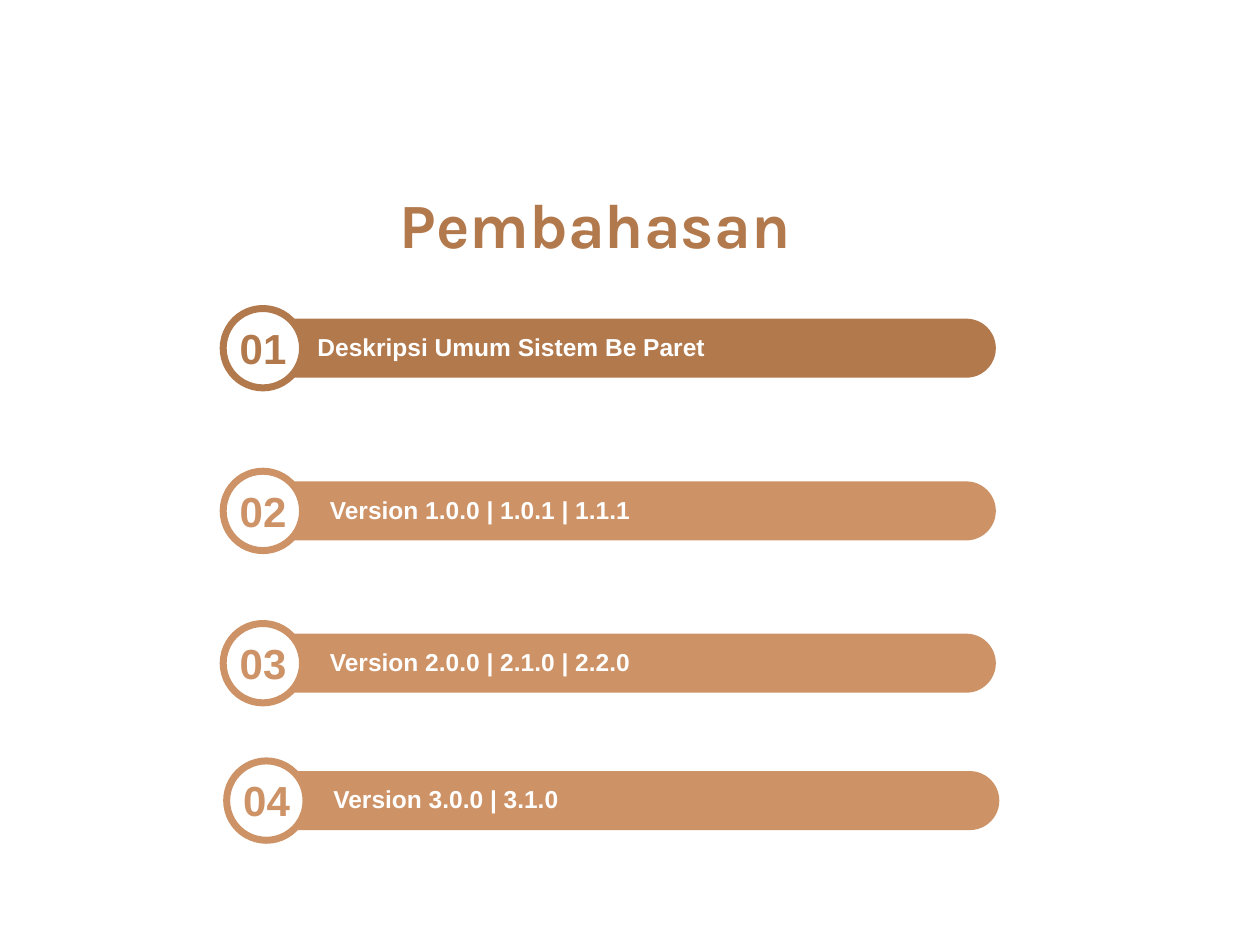
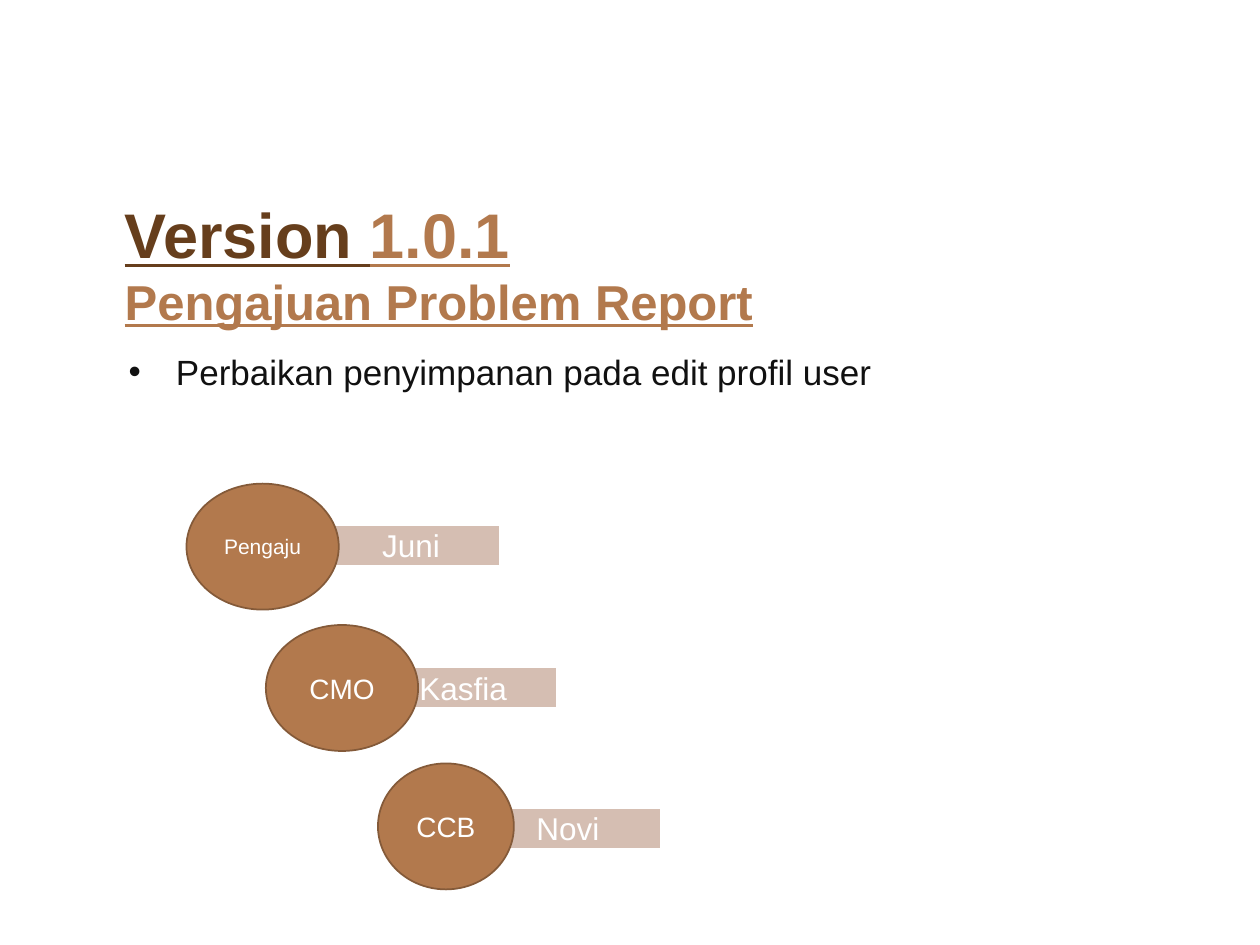
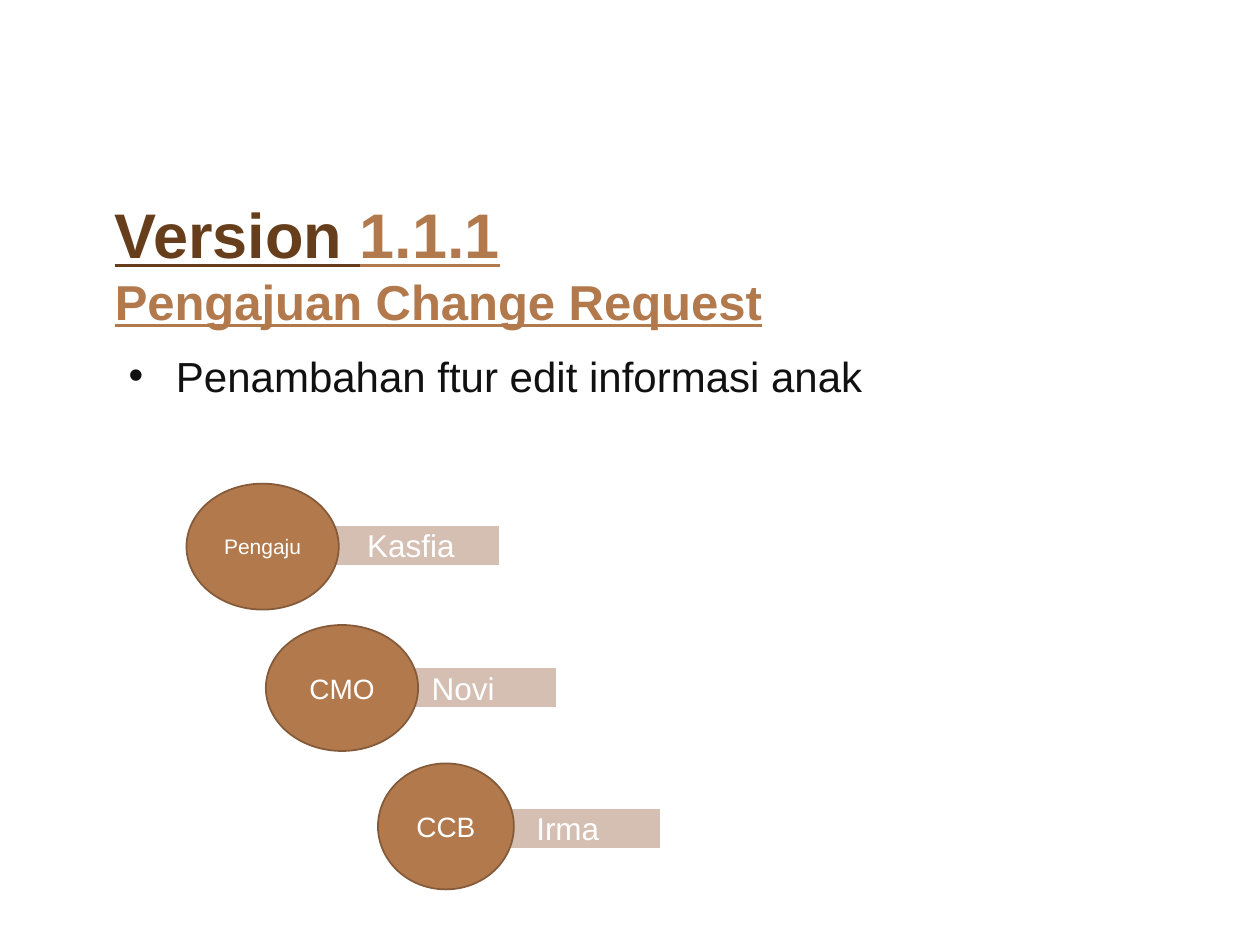
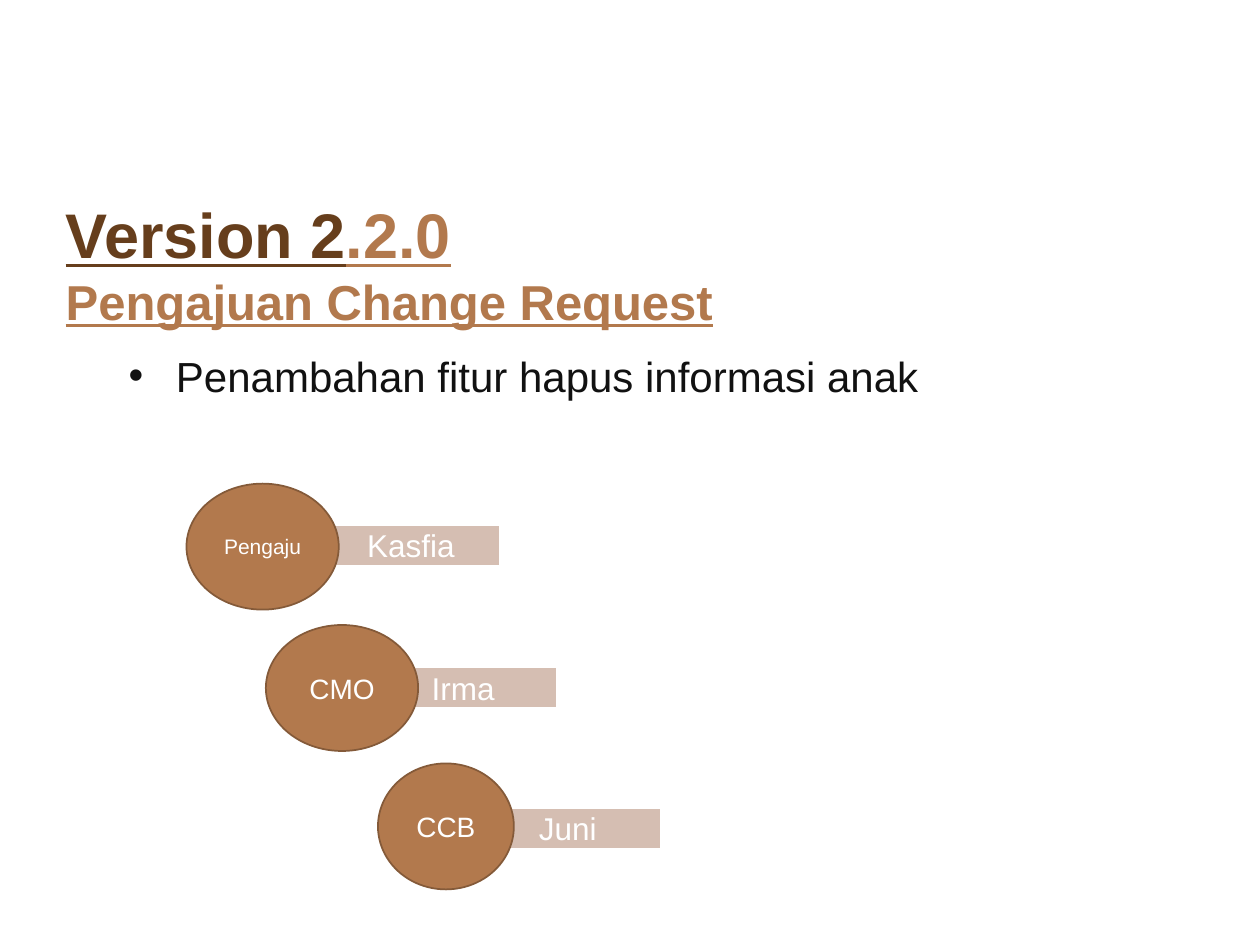
from dataclasses import dataclass

from pptx import Presentation
from pptx.dml.color import RGBColor
from pptx.enum.shapes import MSO_SHAPE
from pptx.enum.text import MSO_ANCHOR, MSO_AUTO_SIZE, PP_ALIGN
from pptx.util import Cm, Pt

OVAL, RECT, TAB = MSO_SHAPE.OVAL, MSO_SHAPE.RECTANGLE, MSO_SHAPE.ROUND_2_SAME_RECTANGLE
LEFT, MID = PP_ALIGN.LEFT, PP_ALIGN.CENTER
TOP, CENTER = MSO_ANCHOR.TOP, MSO_ANCHOR.MIDDLE
FIXED = MSO_AUTO_SIZE.NONE


@dataclass(frozen=True)
class Theme:
    """Colours, fonts and type sizes of the deck."""
    brown: str = "B2794D"
    tan: str = "CD9266"
    dark: str = "663E1C"
    edge: str = "845A39"
    pale: str = "D5BEB2"
    white: str = "FFFFFF"
    ink: str = "111111"
    font: str = "Arial"
    head: str = "Karla"
    title: int = 36
    sub: int = 28
    num: int = 24
    name: int = 18
    role: int = 16
    label: int = 14


THEME = Theme()

AGENDA = [
    ("Deskripsi Umum Sistem Be Paret", 4.5, 6.22, 1.65, THEME.brown),
    ("Version 1.0.0 | 1.0.1 | 1.1.1", 4.5, 9.5, 1.9, THEME.tan),
    ("Version 2.0.0 | 2.1.0 | 2.2.0", 4.5, 12.57, 1.9, THEME.tan),
    ("Version 3.0.0 | 3.1.0", 4.57, 15.34, 1.9, THEME.tan),
]

ROLES = [
    ("Pengaju", 12, (3.76, 9.75, 3.07, 2.54), (6.48, 10.57)),
    ("CMO", THEME.role, (5.36, 12.6, 3.07, 2.54), (7.62, 13.44)),
    ("CCB", THEME.role, (7.62, 15.39, 2.74, 2.54), (9.73, 16.28)),
]

VERSIONS = [
    (2.26, "Version ", "1.0.1", "Pengajuan Problem Report",
     "Perbaikan penyimpanan pada edit profil user", 20, ["Juni", "Kasfia ", "Novi "]),
    (2.06, "Version ", "1.1.1", "Pengajuan Change Request",
     "Penambahan ftur edit informasi anak", 24, ["Kasfia", "Novi ", "Irma "]),
    (1.07, "Version 2", ".2.0", "Pengajuan Change Request",
     "Penambahan fitur hapus informasi anak", 24, ["Kasfia", "Irma ", "Juni "]),
]


def rgb(code):
    """Turn a hex code into a colour."""
    return RGBColor.from_string(code)


def write(para, text, size, color, font=THEME.font, bold=False, line=None):
    """Add one formatted run to a paragraph."""
    run = para.add_run()
    run.text = text
    face = run.font
    face.size, face.name, face.bold, face.underline = Pt(size), font, bold, line
    face.color.rgb = rgb(color)


def frame(shape, align=LEFT, anchor=CENTER):
    """Prepare the text frame of a shape and return its paragraph."""
    text = shape.text_frame
    text.word_wrap, text.auto_size, text.vertical_anchor = True, FIXED, anchor
    para = text.paragraphs[0]
    para.alignment = align
    return para


def place(shape, left, top, width, height):
    """Move and size a placeholder, in centimetres."""
    shape.left, shape.top = Cm(left), Cm(top)
    shape.width, shape.height = Cm(width), Cm(height)
    return shape


def draw(shapes, kind, box, fill, edge=None, weight=1):
    """Draw a flat preset shape."""
    shape = shapes.add_shape(kind, *map(Cm, box))
    shape.shadow.inherit = False
    shape.fill.solid()
    shape.fill.fore_color.rgb = rgb(fill)
    if edge:
        shape.line.color.rgb = rgb(edge)
        shape.line.width = Pt(weight)
    else:
        shape.line.fill.background()
    return shape


def entry(slide, num, text, left, top, gap, color):
    """Draw a numbered agenda bar as one group."""
    shapes = slide.shapes.add_group_shape().shapes
    ring, thick, span = 1.6, 1.19, 14.78
    bar = draw(shapes, TAB, (left + 7.59, top + (ring - span) / 2, thick, span), color)
    bar.adjustments[0], bar.adjustments[1] = 0.5, 0
    bar.rotation = 90
    draw(shapes, OVAL, (left, top, ring, ring), THEME.white, color, 4)
    box = shapes.add_textbox(Cm(left + 0.02), Cm(top + 0.28), Cm(1.57), Cm(1.02))
    para = frame(box, MID)
    box.text_frame.margin_top = box.text_frame.margin_bottom = 0
    write(para, f"{num:02}", THEME.num, color, bold=True)
    box = shapes.add_textbox(Cm(left + gap), Cm(top + 0.34), Cm(13.2), Cm(0.86))
    write(frame(box), text, THEME.label, THEME.white, bold=True)


def agenda(deck):
    """Build the agenda slide."""
    slide = deck.slides.add_slide(deck.slide_layouts[5])
    title = place(slide.shapes.title, 1.9, 3.61, 20.19, 1.8)
    write(frame(title, MID), "Pembahasan", THEME.title, THEME.brown,
          font=THEME.head, bold=True)
    for num, item in enumerate(AGENDA, 1):
        entry(slide, num, *item)


def people(slide, names):
    """Draw the role circles, each over its name bar."""
    for (role, size, oval, spot), name in zip(ROLES, names):
        bar = draw(slide.shapes, RECT, (*spot, 3.61, 0.84), THEME.pale, THEME.white, 1.5)
        write(frame(bar, MID), name, THEME.name, THEME.white)
        disc = draw(slide.shapes, OVAL, oval, THEME.brown, THEME.edge)
        write(frame(disc, MID), role, size, THEME.white)


def version(deck, left, lead, rest, sub, note, size, names):
    """Build one version slide."""
    slide = deck.slides.add_slide(deck.slide_layouts[1])
    para = frame(place(slide.shapes.title, left, 4.88, 18.29, 0.84))
    write(para, lead, THEME.title, THEME.dark, bold=True, line=True)
    write(para, rest, THEME.title, THEME.brown, bold=True, line=True)
    para.add_line_break()
    write(para, sub, THEME.sub, THEME.brown, bold=True, line=True)
    body = place(slide.placeholders[1], 2.34, 6.93, 18.29, 11.02)
    write(frame(body, anchor=TOP), note, size, THEME.ink)
    people(slide, names)


def main():
    """Build and save the deck."""
    deck = Presentation()
    deck.slide_width, deck.slide_height = Cm(25.4), Cm(19.05)
    agenda(deck)
    for item in VERSIONS:
        version(deck, *item)
    deck.save("out.pptx")


if __name__ == "__main__":
    main()
